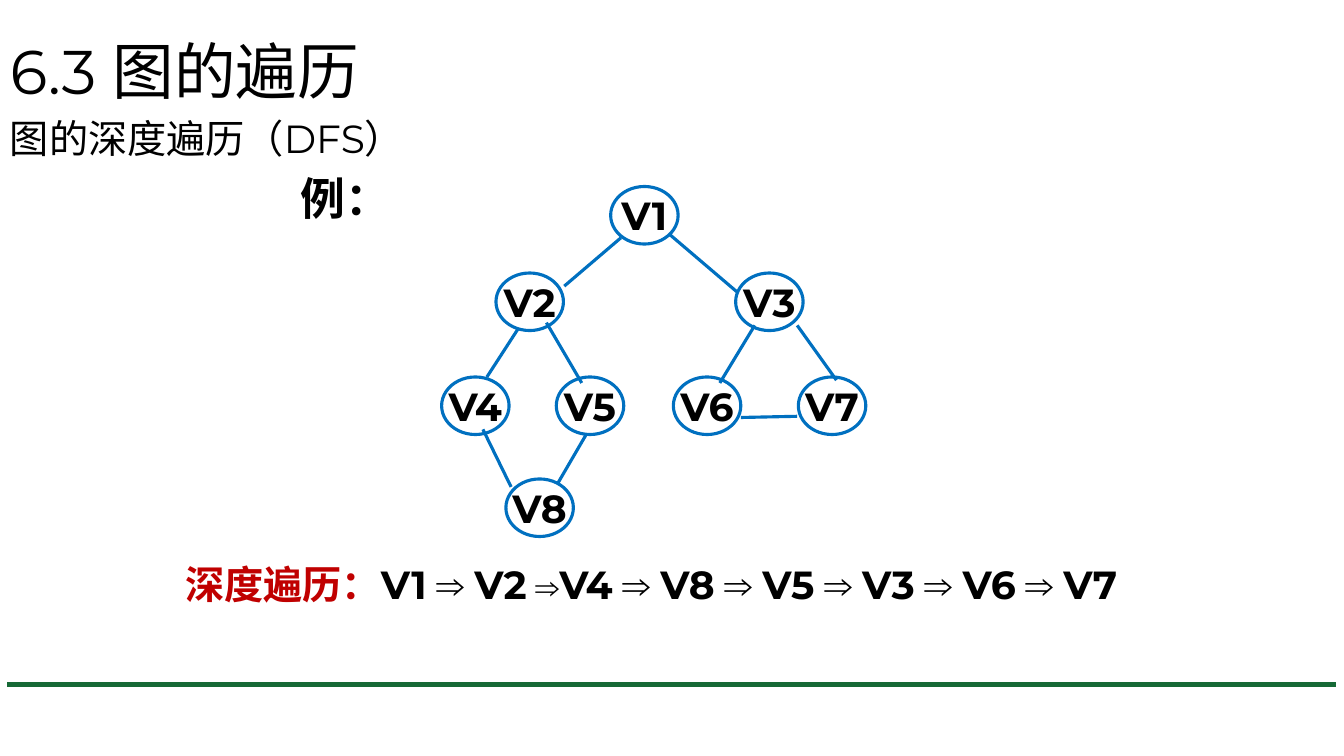
from typing import NamedTuple

from lxml.etree import SubElement
from pptx import Presentation
from pptx.dml.color import RGBColor
from pptx.enum.shapes import MSO_CONNECTOR as Link, MSO_SHAPE as Shape
from pptx.enum.text import MSO_ANCHOR as Anchor, PP_ALIGN as Align
from pptx.oxml.ns import qn
from pptx.util import Cm, Pt

SANS, SERIF = "Montserrat", "Times New Roman"
BLACK, BLUE, RED, GREEN = "000000", "0070C0", "C00000", "166936"
NODE_W, NODE_H = 1.7, 1.45


class Node(NamedTuple):
    name: str
    left: float
    top: float


class Edge(NamedTuple):
    x1: float
    y1: float
    x2: float
    y2: float


NODES = [
    Node("V1", 15.39, 4.7),
    Node("V2", 12.5, 6.88),
    Node("V3", 18.54, 6.88),
    Node("V4", 11.13, 9.5),
    Node("V5", 14.02, 9.5),
    Node("V6", 16.97, 9.5),
    Node("V7", 20.12, 9.5),
    Node("V8", 12.75, 12.07),
]
EDGES = [
    Edge(15.65, 5.99, 14.22, 7.21),
    Edge(16.89, 5.92, 18.59, 7.37),
    Edge(13.06, 8.28, 12.27, 9.5),
    Edge(13.77, 8.13, 14.66, 9.65),
    Edge(12.17, 10.82, 12.88, 12.27),
    Edge(14.76, 10.97, 14.05, 12.19),
    Edge(19.02, 8.2, 18.14, 9.65),
    Edge(18.67, 10.52, 20.09, 10.49),
    Edge(20.09, 8.2, 21.08, 9.58),
]
VISITS = ["V1", "V2", "V4", "V8", "V5", "V3", "V6", "V7"]


def color(code: str) -> RGBColor:
    return RGBColor.from_string(code)


def write(para, text: str, *, size: float = 28, font: str = SANS,
          ink: str = BLACK, bold: bool = False) -> None:
    run = para.add_run()
    run.text = text
    run.font.size = Pt(size)
    run.font.name = font
    run.font.bold = bold
    run.font.color.rgb = color(ink)


def add_box(slide, left: float, top: float, width: float, height: float,
            anchor=Anchor.TOP):
    """Add a wrapping text box and return its first paragraph."""
    box = slide.shapes.add_textbox(Cm(left), Cm(top), Cm(width), Cm(height))
    frame = box.text_frame
    frame.word_wrap = True
    frame.vertical_anchor = anchor
    return frame.paragraphs[0]


def add_edge(slide, edge: Edge, ink: str = BLUE, width: float = 2.25) -> None:
    line = slide.shapes.add_connector(Link.STRAIGHT, *map(Cm, edge))
    line.line.color.rgb = color(ink)
    line.line.width = Pt(width)
    SubElement(line._element.spPr, qn("a:effectLst"))


def add_node(slide, node: Node) -> None:
    oval = slide.shapes.add_shape(
        Shape.OVAL, Cm(node.left), Cm(node.top), Cm(NODE_W), Cm(NODE_H))
    oval.shadow.inherit = False
    oval.fill.background()
    oval.line.color.rgb = color(BLUE)
    oval.line.width = Pt(2.25)
    frame = oval.text_frame
    frame.word_wrap = False
    frame.vertical_anchor = Anchor.MIDDLE
    para = frame.paragraphs[0]
    para.alignment = Align.CENTER
    write(para, node.name, bold=True)


def add_heads(slide) -> None:
    title = add_box(slide, 0, 0.03, 29.21, 3.68, Anchor.MIDDLE)
    title.line_spacing = 0.9
    write(title, "6.3 图的遍历", size=44)
    topic = add_box(slide, 0, 2.9, 29.21, 12.09)
    topic.line_spacing = 0.9
    write(topic, "图的深度遍历（DFS）")


def add_order(slide) -> None:
    """Write the order in which the search visits the nodes."""
    para = add_box(slide, 4.42, 14, 29.9, 1.45)
    write(para, "深度遍历：", ink=RED, bold=True)
    for i, name in enumerate(VISITS):
        if name == "V4":
            write(para, " ⇒", size=24, font=SERIF, bold=True)
        elif i:
            write(para, " ⇒ ", font=SERIF, bold=True)
        write(para, name, bold=True)


def main() -> None:
    deck = Presentation()
    deck.slide_width, deck.slide_height = Cm(33.87), Cm(19.05)
    slide = deck.slides.add_slide(deck.slide_layouts[6])
    add_edge(slide, Edge(0.18, 17.25, 33.68, 17.25), GREEN, 3.75)
    add_heads(slide)
    for node in NODES:
        add_node(slide, node)
    for edge in EDGES:
        add_edge(slide, edge)
    label = add_box(slide, 7.06, 4.19, 2.18, 1.6, Anchor.MIDDLE)
    label.alignment = Align.CENTER
    write(label, "例：", size=32, bold=True)
    add_order(slide)
    deck.save("out.pptx")


if __name__ == "__main__":
    main()
